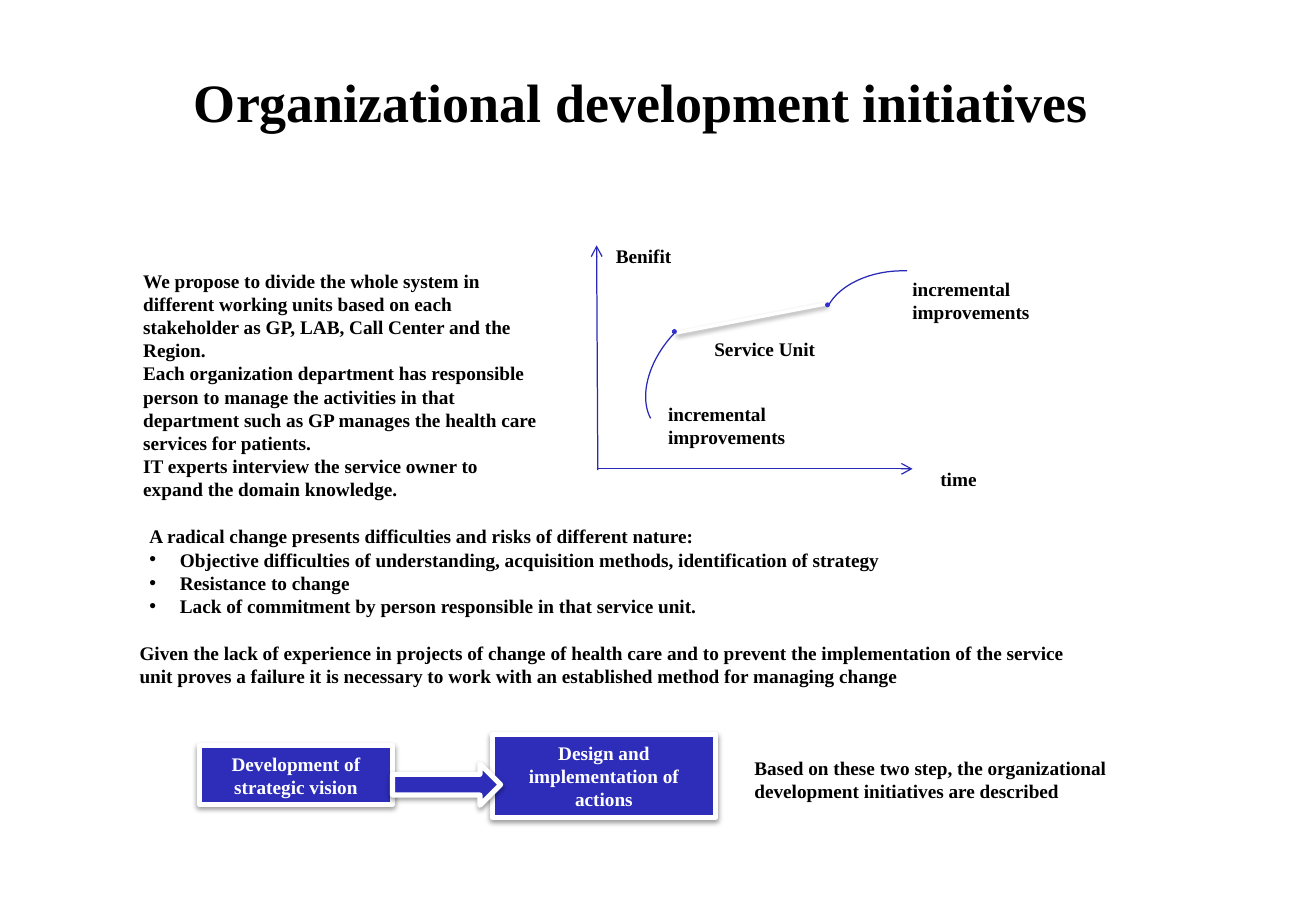
"""Build the slide on organizational development initiatives."""
import dataclasses

import lxml.etree
import pptx
import pptx.dml.color
import pptx.enum.shapes
import pptx.enum.text
import pptx.oxml.ns
import pptx.util

Inches = pptx.util.Inches
Pt = pptx.util.Pt
ALIGN = pptx.enum.text.PP_ALIGN
ANCHOR = pptx.enum.text.MSO_ANCHOR
SHAPE = pptx.enum.shapes.MSO_SHAPE


@dataclasses.dataclass(frozen=True)
class Theme:
    font: str = "Times New Roman"
    title_size: float = 32
    text_size: float = 11.4
    ink: str = "000000"
    paper: str = "FFFFFF"
    block: str = "2D2DB9"
    stroke: str = "2929B8"
    dot: str = "3333CC"
    thin: float = 0.75
    medium: float = 2
    thick: float = 3


THEME = Theme()

TITLE = "Organizational development initiatives"
TITLE_AT = (0.81, 0.33, 8.94, 1)
RISKS_INTRO = "A radical change presents difficulties and risks of different nature:"
RISKS = [
    "Objective difficulties of understanding, acquisition methods, identification of strategy",
    "Resistance to change",
    "Lack of commitment by person responsible in that service unit.",
]
RISKS_AT = (1.13, 4.27, 8.12, 0.87)
TEXTS = [
    ((1.08, 2.17, 3.48, 2.02), [
        "We propose to divide the whole system in different working units based on each "
        "stakeholder as GP, LAB, Call Center and the Region.",
        "Each organization department has responsible person to manage the activities in that "
        "department such as GP manages the health care services for patients.",
        "IT experts interview the service owner to expand the domain knowledge.",
    ]),
    ((1.05, 5.23, 8.12, 0.48), [
        "Given the lack of experience in projects of change of health care and to prevent the "
        "implementation of the service unit proves a failure it is necessary to work with an "
        "established method for managing change",
    ]),
    ((6.11, 6.18, 3.45, 0.48), [
        "Based on these two step, the organizational development initiatives are described",
    ]),
    ((4.97, 1.96, 1.14, 0.29), ["Benifit"]),
    ((7.64, 3.8, 1.14, 0.29), ["time"]),
    ((5.78, 2.73, 1.18, 0.29), ["Service Unit"]),
    ((5.4, 3.26, 1.46, 0.48), ["incremental improvements"]),
    ((7.41, 2.23, 1.32, 0.48), ["incremental improvements"]),
]
BLOCKS = [
    (SHAPE.RECTANGLE, (1.64, 6.14, 1.59, 0.48), "Development of strategic vision"),
    (SHAPE.RECTANGLE, (4.05, 6.05, 1.84, 0.68), "Design and implementation of actions"),
    (SHAPE.RIGHT_ARROW, (3.23, 6.29, 0.89, 0.34), None),
]
AXES = [((4.91, 3.86), (7.51, 3.86)), ((4.92, 3.87), (4.91, 2.02))]
SERVICE_UNIT = ((5.57, 2.74), (6.81, 2.5))
DOT_CENTERS = [(5.55, 2.73), (6.81, 2.51)]
DOT_SIZE = 0.04
CURVES = [
    ((5.2, 2.64, 1.25, 0.82), 310.4, (113.8, 168.6)),
    ((6.78, 2.23, 1.25, 0.82), 357.4, (116.96, 168.6)),
]


def color(value):
    return pptx.dml.color.RGBColor.from_string(value)


def lengths(numbers):
    return [Inches(number) for number in numbers]


def add_element(parent, tag, **attributes):
    return lxml.etree.SubElement(parent, pptx.oxml.ns.qn(tag), attributes)


def write(box, lines, size=THEME.text_size, ink=THEME.ink, align=ALIGN.LEFT,
          anchor=ANCHOR.TOP, bullets=()):
    frame = box.text_frame
    frame.word_wrap = True
    frame.auto_size = pptx.enum.text.MSO_AUTO_SIZE.NONE
    frame.vertical_anchor = anchor
    for index, line in enumerate(lines):
        para = frame.paragraphs[0] if index == 0 else frame.add_paragraph()
        properties = para._p.get_or_add_pPr()
        hang = Inches(0.25) if line in bullets else 0
        properties.set("marL", str(hang))
        properties.set("indent", str(-hang))
        if hang:
            add_element(properties, "a:buFont", typeface="Arial")
            add_element(properties, "a:buChar", char="•")
        else:
            add_element(properties, "a:buNone")
        para.alignment = align
        para.space_before = Pt(0)
        span = para.add_run()
        span.text = line
        span.font.name = THEME.font
        span.font.size = Pt(size)
        span.font.bold = True
        span.font.color.rgb = color(ink)


def set_effects(item, shadow):
    effects = add_element(item._element.spPr, "a:effectLst")
    if shadow:
        cast = add_element(effects, "a:outerShdw", blurRad=str(Pt(3.1)), dist=str(Pt(1.6)),
                           dir="5400000", rotWithShape="0")
        tint = add_element(cast, "a:srgbClr", val=THEME.ink)
        add_element(tint, "a:alpha", val="38000")


def draw_shape(page, kind, at, fill=None, stroke=None, width=0, shadow=False):
    shape = page.shapes.add_shape(kind, *lengths(at))
    if fill:
        shape.fill.solid()
        shape.fill.fore_color.rgb = color(fill)
    else:
        shape.fill.background()
    if stroke:
        shape.line.color.rgb = color(stroke)
        shape.line.width = Pt(width)
    else:
        shape.line.fill.background()
    set_effects(shape, shadow)
    return shape


def draw_line(page, start, end, stroke, width, arrow=False, shadow=False):
    line = page.shapes.add_connector(
        pptx.enum.shapes.MSO_CONNECTOR.STRAIGHT, *lengths(start + end))
    line.line.color.rgb = color(stroke)
    line.line.width = Pt(width)
    if arrow:
        add_element(line.line._get_or_add_ln(), "a:tailEnd", type="arrow")
    set_effects(line, shadow)


def place(box, at):
    box.left, box.top, box.width, box.height = lengths(at)


def main():
    deck = pptx.Presentation()
    deck.slide_width, deck.slide_height = Inches(10.83), Inches(7.5)
    page = deck.slides.add_slide(deck.slide_layouts[1])

    title, body = page.shapes.title, page.placeholders[1]
    place(title, TITLE_AT)
    write(title, [TITLE], size=THEME.title_size, align=ALIGN.CENTER, anchor=ANCHOR.MIDDLE)
    place(body, RISKS_AT)
    write(body, [RISKS_INTRO, *RISKS], bullets=RISKS)

    for kind, at, label in BLOCKS:
        block = draw_shape(page, kind, at, THEME.block, THEME.paper, THEME.thick, shadow=True)
        if label:
            write(block, [label], ink=THEME.paper, align=ALIGN.CENTER, anchor=ANCHOR.MIDDLE)

    for start, end in AXES:
        draw_line(page, start, end, THEME.stroke, THEME.thin, arrow=True)
    for at, rotation, angles in CURVES:
        curve = draw_shape(page, SHAPE.ARC, at, stroke=THEME.stroke, width=THEME.thin)
        curve.rotation = rotation
        curve.adjustments[0], curve.adjustments[1] = angles
    draw_line(page, *SERVICE_UNIT, THEME.paper, THEME.medium, shadow=True)
    for x, y in DOT_CENTERS:
        corner = (x - DOT_SIZE / 2, y - DOT_SIZE / 2)
        draw_shape(page, SHAPE.OVAL, (*corner, DOT_SIZE, DOT_SIZE), THEME.dot)

    for at, lines in TEXTS:
        write(page.shapes.add_textbox(*lengths(at)), lines)

    deck.save("out.pptx")


if __name__ == "__main__":
    main()
